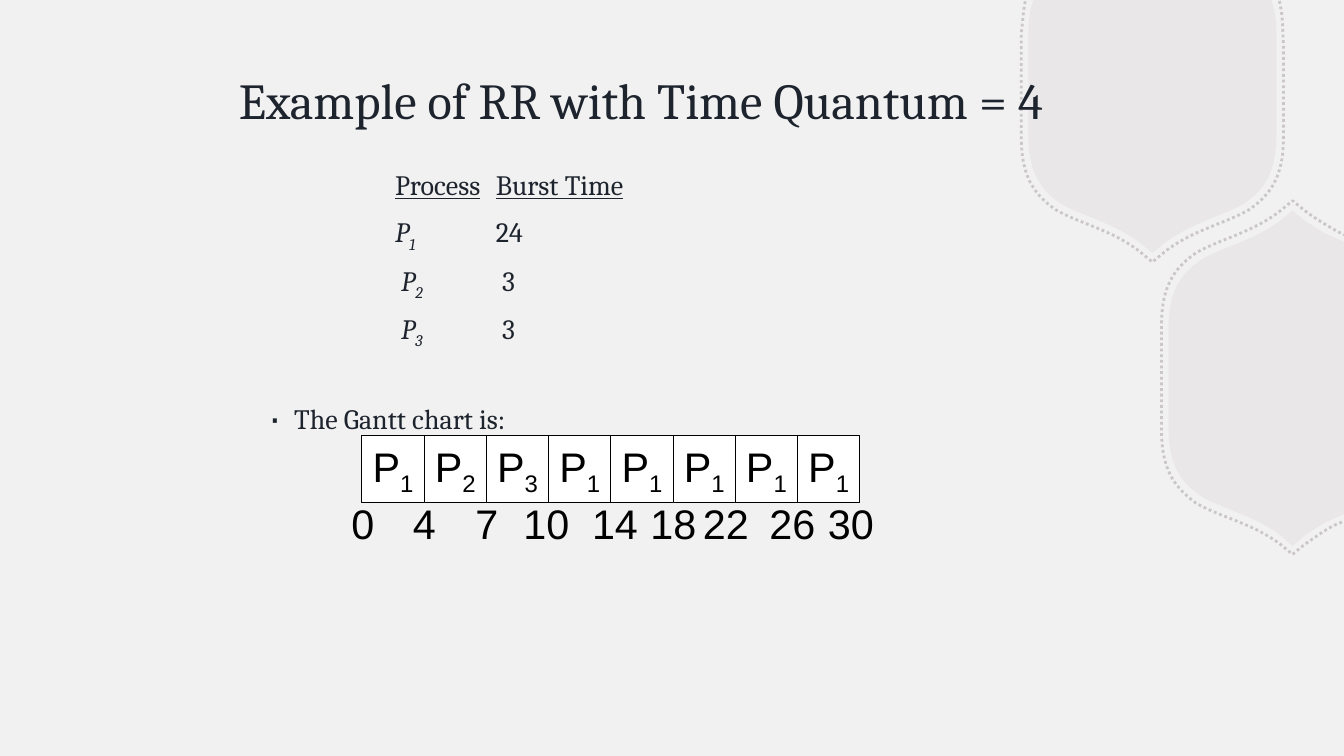
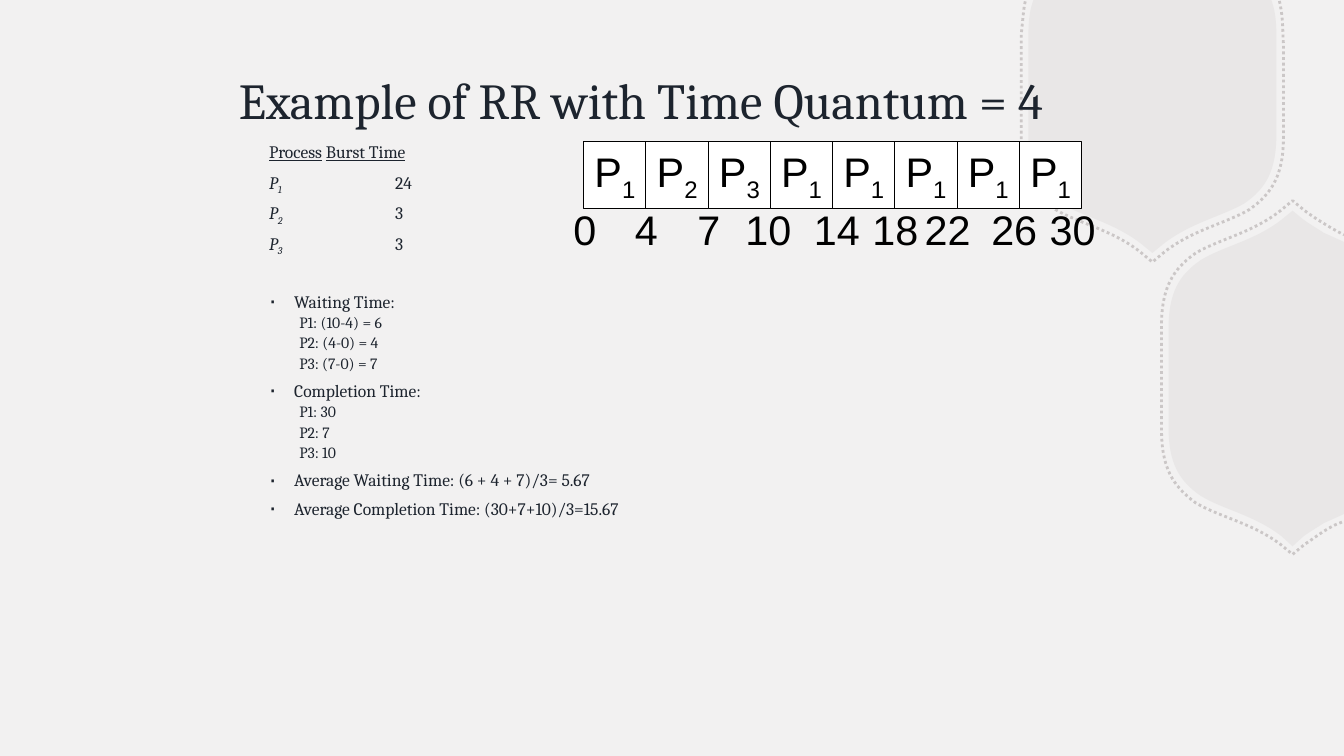
"""Build two slides on round-robin scheduling with a Gantt chart."""
from lxml import etree
from pptx import Presentation
from pptx.dml.color import RGBColor
from pptx.enum.dml import MSO_LINE
from pptx.enum.shapes import MSO_SHAPE
from pptx.enum.text import MSO_ANCHOR, PP_ALIGN
from pptx.oxml.ns import qn
from pptx.util import Inches, Pt

RECT = MSO_SHAPE.RECTANGLE
DOTTED = MSO_LINE.ROUND_DOT
MIDDLE = MSO_ANCHOR.MIDDLE
LEFT, CENTER = PP_ALIGN.LEFT, PP_ALIGN.CENTER

PAPER = RGBColor(0xF2, 0xF1, 0xF1)
INK = RGBColor(0x1D, 0x24, 0x2E)
MAUVE = RGBColor(0xB8, 0xB2, 0xB2)
WHITE = RGBColor(0xFF, 0xFF, 0xFF)
BLACK = RGBColor(0x00, 0x00, 0x00)

TITLE = "Example of RR with Time Quantum = 4"
UNDER = {"underline": True}
ITALIC = {"italic": True}
SUB = {"italic": True, "base": -25}


def add_run(p, text, size=20, font="Cambria", color=INK, italic=False, underline=False, base=0):
    r = p.add_run()
    r.text = text
    r.font.size = Pt(size)
    r.font.name = font
    r.font.color.rgb = color
    r.font.italic = italic
    r.font.underline = underline
    if base:
        r._r.get_or_add_rPr().set("baseline", str(base * 1000))


prs = Presentation()
prs.slide_width, prs.slide_height = Inches(13.33), Inches(7.5)
layout = prs.slide_layouts[5]
bg = prs.slide_master.background.fill
bg.solid()
bg.fore_color.rgb = PAPER

slides = [prs.slides.add_slide(layout) for _ in range(2)]

badges = [
    (False, [(10.25, 0), (12.61, 0), (12.62, 0.03), (12.65, 0.12, 12.66, 0.23, 12.66, 0.36),
             (12.66, 1.33), (12.66, 1.69, 12.56, 1.87, 12.34, 2.02),
             (12.11, 2.15, 11.81, 2.21, 11.54, 2.42), (11.43, 2.51), (11.32, 2.42),
             (11.05, 2.21, 10.75, 2.15, 10.52, 2.02), (10.3, 1.87, 10.2, 1.69, 10.2, 1.33),
             (10.2, 0.36), (10.2, 0.23, 10.21, 0.12, 10.24, 0.03)]),
    (False, [(12.82, 2.09), (12.93, 2.18), (13, 2.23, 13.07, 2.27, 13.13, 2.31), (13.33, 2.4),
             (13.33, 5.1), (13.13, 5.19), (13.07, 5.23, 13, 5.27, 12.93, 5.32), (12.82, 5.42),
             (12.71, 5.32), (12.44, 5.11, 12.14, 5.06, 11.91, 4.92),
             (11.69, 4.77, 11.59, 4.59, 11.59, 4.24), (11.59, 3.26),
             (11.59, 2.91, 11.69, 2.73, 11.91, 2.58), (12.14, 2.44, 12.44, 2.39, 12.71, 2.18)]),
    (True, [(12.69, 0.01), (12.73, 0.19, 12.72, 0.3, 12.73, 0.44), (12.73, 1.36),
            (12.73, 1.73, 12.62, 1.92, 12.39, 2.08), (12.15, 2.22, 11.83, 2.28, 11.55, 2.5),
            (11.43, 2.6), (11.31, 2.5), (11.03, 2.28, 10.71, 2.22, 10.47, 2.08),
            (10.24, 1.92, 10.13, 1.73, 10.13, 1.36), (10.13, 0.33),
            (10.14, 0.26, 10.15, 0.09, 10.17, 0.01)]),
    (True, [(13.31, 5.18), (13.18, 5.22, 13.02, 5.35, 12.94, 5.4), (12.82, 5.5), (12.7, 5.4),
            (12.42, 5.19, 12.1, 5.13, 11.86, 4.99), (11.63, 4.82, 11.52, 4.64, 11.52, 4.26),
            (11.52, 3.23), (11.52, 2.86, 11.63, 2.67, 11.86, 2.51),
            (12.1, 2.37, 12.42, 2.31, 12.7, 2.09), (12.82, 1.99), (12.94, 2.09),
            (13.02, 2.15, 13.19, 2.26, 13.33, 2.33)]),
]
for i, (outlined, steps) in enumerate(badges):
    pts = [(Inches(step[k]), Inches(step[k + 1])) for step in steps for k in range(0, len(step), 2)]
    builder = slides[0].shapes.build_freeform(*pts[0])
    builder.add_line_segments(pts[1:], close=not outlined)
    sp = builder.convert_to_shape()
    sp.shadow.inherit = False
    segments = iter(sp.element.findall(".//" + qn("a:lnTo")))
    for step in steps[1:]:
        seg = next(segments)
        if len(step) == 6:
            bezier = etree.Element(qn("a:cubicBezTo"))
            seg.addprevious(bezier)
            for corner in (seg, next(segments), next(segments)):
                bezier.append(corner[0])
                corner.getparent().remove(corner)
    if outlined:
        sp.fill.background()
        sp.line.width = Pt(2)
        sp.line.color.rgb = MAUVE
        sp.line.dash_style = DOTTED
    else:
        sp.fill.solid()
        sp.fill.fore_color.rgb = MAUVE
        sp.line.fill.background()
    color = sp.element.spPr.find(".//" + qn("a:srgbClr"))
    etree.SubElement(color, qn("a:alpha")).set("val", "65000" if outlined else "15000")
    sp.element.nvSpPr.cNvPr.set("id", str(100 + i))
    layout.shapes.element.insert(2 + i, sp.element)

bursts = [("1", "24"), ("2", "3"), ("3", "3")]
first_rows = [("row", 10, [("\t\t", {}), ("Process", UNDER), ("\t", {}), ("Burst Time", UNDER)])]
second_rows = [("row", 10, [("Process", UNDER), (" ", {}), ("Burst Time", UNDER)])]
for n, burst in bursts:
    pad = "" if n == "1" else " "
    first_rows.append(("row", 10, [("\t\t" + pad + "P", ITALIC), (n + "\t", SUB), (pad + burst, {})]))
    second_rows.append(("row", 10, [("P", ITALIC), (n + "\t\t", SUB), (burst, {})]))
first_rows.append(("bullet", 41.5, [("The Gantt chart is:", {})]))
for kind, before, text in [
    ("bullet", 30.5, "Waiting Time:"),
    ("detail", 5, "P1: (10-4) = 6"),
    ("detail", 5, "P2: (4-0) = 4"),
    ("detail", 5, "P3: (7-0) = 7"),
    ("bullet", 10, "Completion Time:"),
    ("detail", 5, "P1: 30"),
    ("detail", 5, "P2: 7"),
    ("detail", 5, "P3: 10"),
    ("bullet", 10, "Average Waiting Time: (6 + 4 + 7)/3= 5.67"),
    ("bullet", 10, "Average Completion Time: (30+7+10)/3=15.67"),
]:
    second_rows.append((kind, before, [(text, {})]))

CELL_W, CELL_H = 4.32 / 7, 0.67
LABEL_W, LABEL_H = 0.66, 0.6
gantt = "12311111"
ticks = [(0, 0.01), (4, 0.62), (7, 1.24), (10, 1.83), (14, 2.51),
         (18, 3.09), (22, 3.61), (26, 4.27), (30, 4.85)]

contents = [
    (1.65, 20, 20, 0.9, first_rows, 3.59, 4.32),
    (1.41, 12.5, 11.2, 0.7, second_rows, 5.79, 1.4),
]
for s, (top, size, detail_size, spacing, rows, chart_x, chart_y) in zip(slides, contents):
    title = s.shapes.title
    title.left, title.top, title.width, title.height = (Inches(v) for v in (2.27, 0.53, 8.81, 0.92))
    title.text_frame.vertical_anchor = MIDDLE
    p = title.text_frame.paragraphs[0]
    p.alignment = LEFT
    add_run(p, TITLE, size=36)

    tf = s.shapes.add_textbox(Inches(2.57), Inches(top), Inches(8.04), Inches(4.9)).text_frame
    tf.word_wrap = True
    for i, (kind, before, runs) in enumerate(rows):
        p = tf.add_paragraph() if i else tf.paragraphs[0]
        p.line_spacing = spacing
        p.space_before = Pt(before)
        pPr = p._p.get_or_add_pPr()
        detail = kind == "detail"
        pPr.set("marL", str(Inches(0.3 if detail else 0.25)))
        pPr.set("indent", str(Inches(0 if detail else -0.25)))
        pPr.set("defTabSz", str(Inches(1)))
        if kind == "bullet":
            etree.SubElement(pPr, qn("a:buSzPct")).set("val", "150000")
            etree.SubElement(pPr, qn("a:buFont")).set("typeface", "Arial")
            etree.SubElement(pPr, qn("a:buChar")).set("char", "∙")
        for text, fmt in runs:
            add_run(p, text, size=detail_size if detail else size, **fmt)

    chart = s.shapes.add_group_shape().shapes
    for i, n in enumerate(gantt):
        sp = chart.add_shape(RECT, Inches(chart_x + i * CELL_W), Inches(chart_y),
                             Inches(CELL_W), Inches(CELL_H))
        sp.shadow.inherit = False
        sp.fill.solid()
        sp.fill.fore_color.rgb = WHITE
        sp.line.color.rgb = BLACK
        sp.line.width = Pt(0.75)
        tf = sp.text_frame
        tf.word_wrap = False
        tf.vertical_anchor = MIDDLE
        p = tf.paragraphs[0]
        p.alignment = CENTER
        add_run(p, "P", size=29.5, font="Arial", color=BLACK)
        add_run(p, n, size=29.5, font="Arial", color=BLACK, base=-25)
    for time, offset in ticks:
        tf = chart.add_textbox(Inches(chart_x + offset - LABEL_W / 2), Inches(chart_y + 0.57),
                               Inches(LABEL_W), Inches(LABEL_H)).text_frame
        tf.word_wrap = False
        tf.vertical_anchor = MIDDLE
        p = tf.paragraphs[0]
        p.alignment = CENTER
        add_run(p, str(time), size=29.5, font="Arial", color=BLACK)

prs.save("out.pptx")
